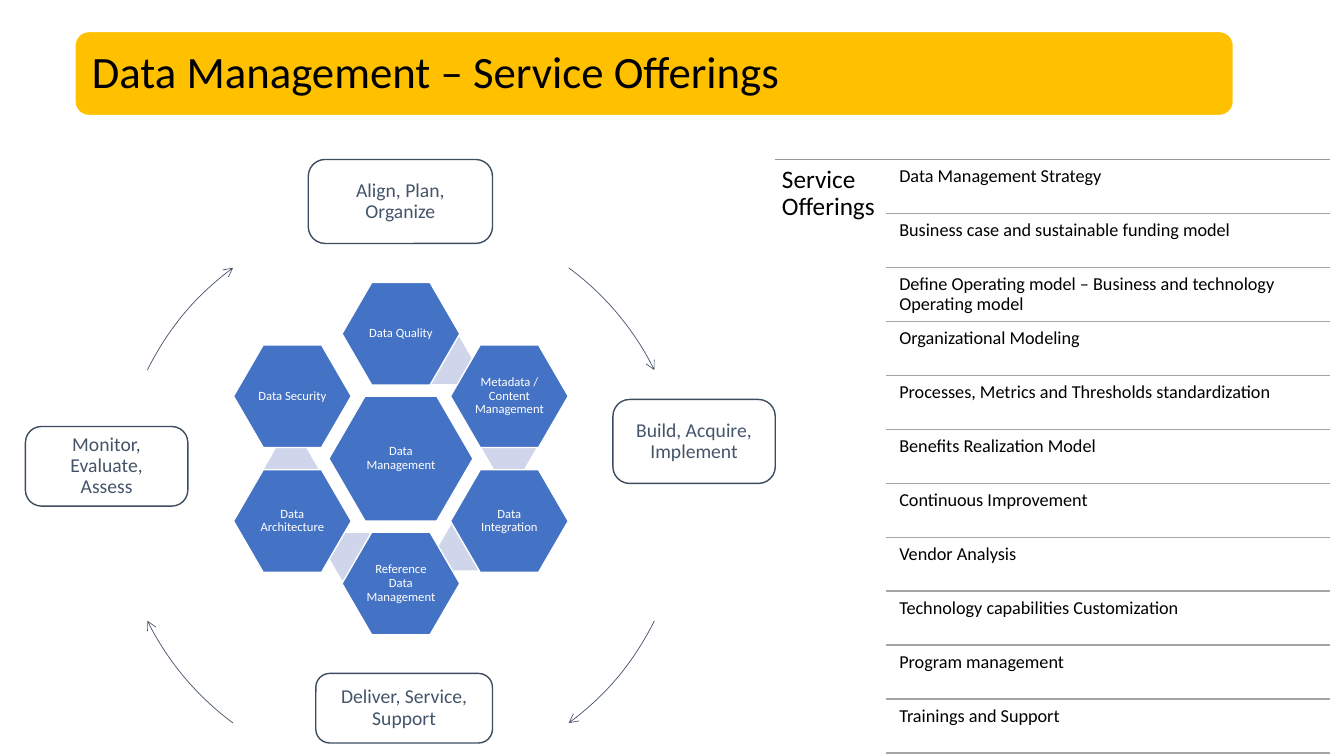
from lxml.etree import SubElement
from pptx import Presentation
from pptx.dml.color import RGBColor
from pptx.enum.shapes import MSO_CONNECTOR as Link, MSO_SHAPE as Kind
from pptx.enum.text import MSO_ANCHOR as Anchor, PP_ALIGN as Align
from pptx.oxml.ns import qn
from pptx.util import Pt


def paint(color):
    return RGBColor.from_string(color)


class Board:
    font = "Calibri"
    blue, pale, white, black = "4472C4", "CFD5EA", "FFFFFF", "000000"
    slate, edge, gold = "44546A", "3E4C60", "FFC000"

    def __init__(self, slide):
        self.shapes = slide.shapes

    def letter(self, shape, text, size, color, inset, align, anchor):
        frame = shape.text_frame
        frame.word_wrap = True
        frame.vertical_anchor = anchor
        frame.margin_left = frame.margin_right = Pt(inset)
        frame.margin_top = frame.margin_bottom = Pt(inset)
        para = frame.paragraphs[0]
        para.text = text
        para.alignment = align
        para.line_spacing = 0.9
        para.font.name = self.font
        para.font.size = Pt(size)
        para.font.color.rgb = paint(color)

    def shape(self, kind, x, y, w, h, fill=None, line=None, width=1):
        shape = self.shapes.add_shape(kind, Pt(x), Pt(y), Pt(w), Pt(h))
        shape.shadow.inherit = False
        if fill:
            shape.fill.solid()
            shape.fill.fore_color.rgb = paint(fill)
        else:
            shape.fill.background()
        if line:
            shape.line.color.rgb = paint(line)
            shape.line.width = Pt(width)
        else:
            shape.line.fill.background()
        return shape

    def hexagon(self, x, y, w, h, fill, line=None):
        shape = self.shape(Kind.HEXAGON, x, y, w, h, fill, line)
        shape.adjustments[0] = 0.29
        return shape

    def cell(self, mid_x, mid_y, w, h, text):
        shape = self.hexagon(mid_x - w / 2, mid_y - h / 2, w, h,
                             self.blue, self.white)
        self.letter(shape, text, 9, self.white, 0.8, Align.CENTER, Anchor.MIDDLE)

    def phase(self, x, y, w, h, text):
        shape = self.shape(Kind.ROUNDED_RECTANGLE, x, y, w, h,
                           self.white, self.edge)
        shape.adjustments[0] = 0.2
        self.letter(shape, text, 14, self.slate, 10.8, Align.CENTER, Anchor.MIDDLE)

    def arrow(self, mid_x, mid_y, radius, start, sweep):
        shape = self.shape(Kind.ARC, mid_x - radius, mid_y - radius,
                           2 * radius, 2 * radius, None, self.slate, 0.5)
        # Angles are stored in 60000ths of a degree, adjustments in 100000ths
        shape.adjustments[0] = start * 0.6
        shape.adjustments[1] = (start + sweep) * 0.6
        line = shape.element.spPr.find(qn("a:ln"))
        SubElement(line, qn("a:tailEnd"), type="arrow")

    def rule(self, left, right, y, color):
        line = self.shapes.add_connector(Link.STRAIGHT, Pt(left), Pt(y),
                                         Pt(right), Pt(y))
        line.line.color.rgb = paint(color)
        line.line.width = Pt(1)
        SubElement(line.element.spPr, qn("a:effectLst"))

    def label(self, x, y, w, h, text, size, inset):
        box = self.shapes.add_textbox(Pt(x), Pt(y), Pt(w), Pt(h))
        self.letter(box, text, size, self.black, inset, Align.LEFT, Anchor.TOP)

    def title(self, x, y, w, h, text):
        shape = self.shape(Kind.ROUNDED_RECTANGLE, x, y, w, h,
                           self.gold, self.white, 1.5)
        self.letter(shape, text, 32, self.black, 9.4, Align.LEFT, Anchor.MIDDLE)


def main():
    deck = Presentation()
    deck.slide_width, deck.slide_height = Pt(960), Pt(540)
    board = Board(deck.slides.add_slide(deck.slide_layouts[6]))

    # Title bar
    board.title(53.3, 22.3, 828, 60.5, "Data Management – Service Offerings")

    # Pale bridges between the hexagons
    for x, y in [(298.8, 240.5), (344.2, 303.1), (313.2, 373.7),
                 (234.7, 380.9), (188.6, 318.2)]:
        board.hexagon(x, y, 38.9, 33.8, board.pale)

    # Hexagons: one hub and six around it, in steps across and down
    hub_x, hub_y, step_x, step_y = 286.4, 327.6, 77.5, 44.6
    board.cell(hub_x, hub_y, 103, 89.3, "Data Management")
    for col, row, text in [
        (0, -2, "Data Quality"),
        (1, -1, "Metadata / Content Management"),
        (1, 1, "Data Integration"),
        (0, 2, "Reference Data Management"),
        (-1, 1, "Data Architecture"),
        (-1, -1, "Data Security"),
    ]:
        board.cell(hub_x + col * step_x, hub_y + row * step_y, 84.2, 73.4, text)

    # Life cycle phases and the arrows between them
    for x, y, w, h, text in [
        (220.2, 113.9, 131.6, 60, "Align, Plan, Organize"),
        (437.8, 285.3, 116, 60, "Build, Acquire, Implement"),
        (225.6, 481, 126.2, 49.7, "Deliver, Service, Support"),
        (18.2, 304.7, 116, 56.8, "Monitor, Evaluate, Assess"),
    ]:
        board.phase(x, y, w, h, text)
    for start in (306.4, 26.3, 126.4, 206.3):
        board.arrow(hub_x, 353.9, 202, start, 27.3)

    # List of services
    left, split, right, top, pitch = 553.7, 632.9, 949.7, 113.9, 38.55
    board.rule(left, right, top, "969696")
    board.label(left, top, split - left, 426, "Service Offerings", 18, 4.9)
    services = [
        "Data Management Strategy",
        "Business case and sustainable funding model",
        "Define Operating model – Business and technology Operating model",
        "Organizational Modeling",
        "Processes, Metrics and Thresholds standardization",
        "Benefits Realization Model",
        "Continuous Improvement",
        "Vendor Analysis",
        "Technology capabilities Customization",
        "Program management",
        "Trainings and Support",
    ]
    for row, text in enumerate(services):
        y = top + row * pitch
        board.label(split + 5.9, y + 1.9, 311, 36.7, text, 13, 3.6)
        board.rule(split, right, y + pitch, "A5A5A5")

    deck.save("out.pptx")


if __name__ == "__main__":
    main()
